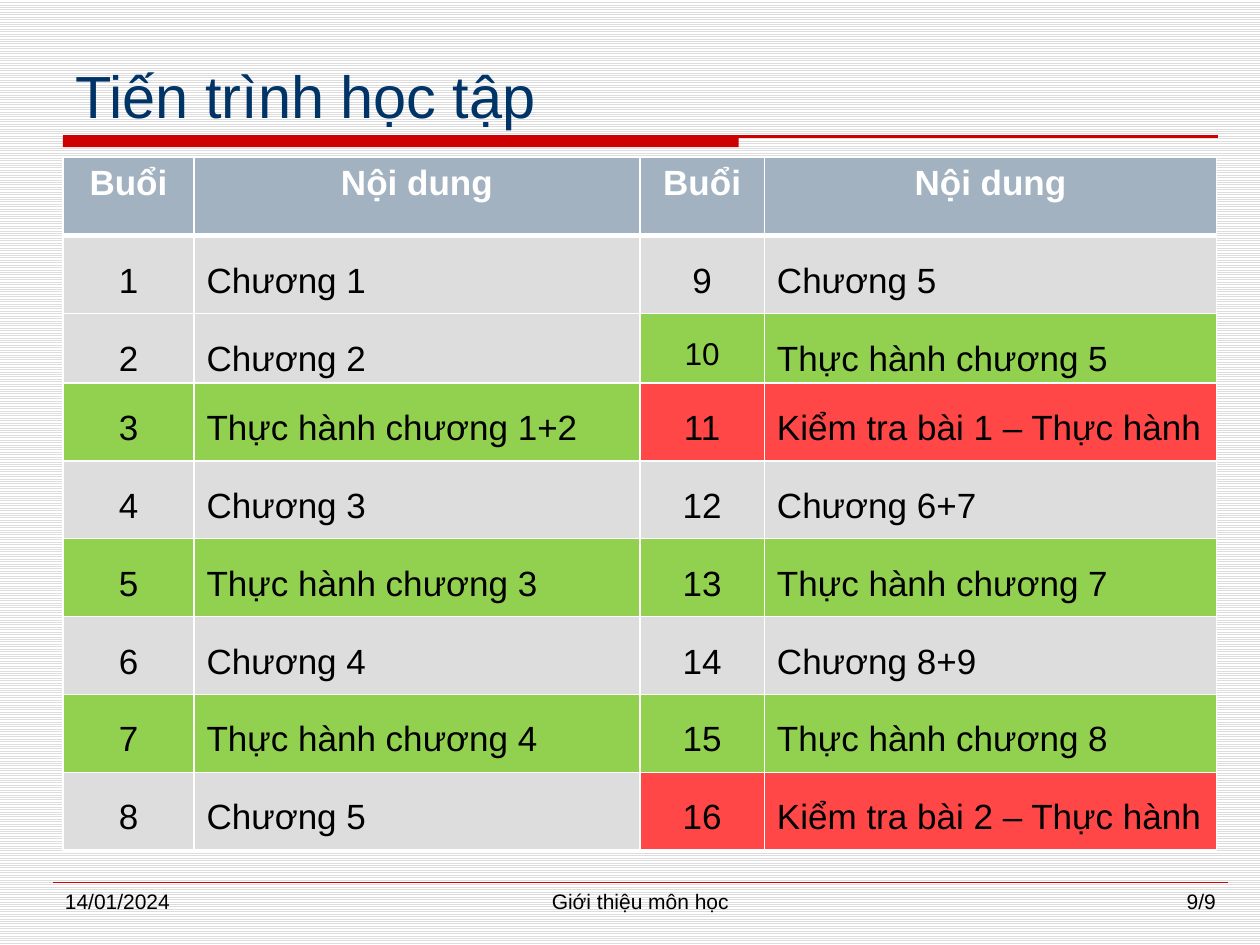
from typing import NamedTuple

from lxml.etree import SubElement
from pptx import Presentation
from pptx.dml.color import RGBColor
from pptx.enum.dml import MSO_PATTERN
from pptx.enum.shapes import MSO_CONNECTOR, MSO_SHAPE
from pptx.enum.text import MSO_ANCHOR, PP_ALIGN
from pptx.oxml import parse_xml
from pptx.oxml.ns import nsdecls, qn
from pptx.util import Cm, Pt

FONT = "Arial"
WHITE, BLACK, NAVY, RED = "FFFFFF", "000000", "003366", "CC0000"
HEADER, THEORY, PRACTICE, EXAM = "A3B2C1", "DDDDDD", "92D050", "FF4747"


class Session(NamedTuple):
    topic: str
    fill: str = THEORY
    number_size: int = 20


class FooterPart(NamedTuple):
    text: str
    left: float
    width: float
    align: PP_ALIGN


SESSIONS = [
    Session("Chương 1"),
    Session("Chương 2"),
    Session("Thực hành chương 1+2", PRACTICE),
    Session("Chương 3"),
    Session("Thực hành chương 3", PRACTICE),
    Session("Chương 4"),
    Session("Thực hành chương 4", PRACTICE),
    Session("Chương 5"),
    Session("Chương 5"),
    Session("Thực hành chương 5", PRACTICE, 18),
    Session("Kiểm tra bài 1 – Thực hành", EXAM),
    Session("Chương 6+7"),
    Session("Thực hành chương 7", PRACTICE),
    Session("Chương 8+9"),
    Session("Thực hành chương 8", PRACTICE),
    Session("Kiểm tra bài 2 – Thực hành", EXAM),
]
FOOTER = [
    FooterPart("14/01/2024", 1.06, 5.5, PP_ALIGN.LEFT),
    FooterPart("Giới thiệu môn học", 7.41, 11, PP_ALIGN.CENTER),
    FooterPart("9/9", 19.26, 5.5, PP_ALIGN.RIGHT),
]
COLUMN_WIDTHS = [2.64, 8.99, 2.51, 9.12]
ROW_HEIGHT, SHORT_ROW_HEIGHT = 1.57, 1.4
SHORT_ROW = 2
ROWS_PER_HALF = len(SESSIONS) // 2


def rgb(color: str) -> RGBColor:
    return RGBColor.from_string(color)


def write(frame, text: str, size: float, color: str, align: PP_ALIGN,
          bold: bool = False, spacing: float = 1.0) -> None:
    frame.text = text
    paragraph = frame.paragraphs[0]
    paragraph.alignment = align
    paragraph.line_spacing = spacing
    font = paragraph.runs[0].font
    font.name, font.size, font.bold = FONT, Pt(size), bold
    font.color.rgb = rgb(color)


def add_rule(slide, left: float, right: float, y: float, weight: float) -> None:
    rule = slide.shapes.add_connector(
        MSO_CONNECTOR.STRAIGHT, Cm(left), Cm(y), Cm(right), Cm(y))
    rule.line.color.rgb = rgb(RED)
    rule.line.width = Pt(weight)
    SubElement(rule._element.spPr, qn("a:effectLst"))


def set_borders(cell, top: float, bottom: float) -> None:
    properties = cell._tc.get_or_add_tcPr()
    weights = {"lnL": 1, "lnR": 1, "lnT": top, "lnB": bottom}
    for index, (side, weight) in enumerate(weights.items()):
        properties.insert(index, parse_xml(
            f'<a:{side} {nsdecls("a")} w="{Pt(weight)}"><a:solidFill>'
            f'<a:srgbClr val="{WHITE}"/></a:solidFill></a:{side}>'))


def fill_cell(cell, fill: str, top: float = 1, bottom: float = 1) -> None:
    cell.fill.solid()
    cell.fill.fore_color.rgb = rgb(fill)
    cell.margin_bottom = Cm(0)
    set_borders(cell, top, bottom)


def add_schedule(slide) -> None:
    heights = [SHORT_ROW_HEIGHT if row == SHORT_ROW else ROW_HEIGHT
               for row in range(ROWS_PER_HALF + 1)]
    schedule = slide.shapes.add_table(
        len(heights), len(COLUMN_WIDTHS), Cm(1.27), Cm(3.18),
        Cm(sum(COLUMN_WIDTHS)), Cm(sum(heights))).table
    for column, width in zip(schedule.columns, COLUMN_WIDTHS):
        column.width = Cm(width)
    for row, height in zip(schedule.rows, heights):
        row.height = Cm(height)

    # Header row
    for column, heading in enumerate(["Buổi", "Nội dung"] * 2):
        cell = schedule.cell(0, column)
        fill_cell(cell, HEADER, bottom=3)
        write(cell.text_frame, heading, 20, WHITE, PP_ALIGN.CENTER, bold=True)

    # Sessions run down the left half, then the right half
    for index, session in enumerate(SESSIONS):
        half, row = divmod(index, ROWS_PER_HALF)
        number = schedule.cell(row + 1, half * 2)
        topic = schedule.cell(row + 1, half * 2 + 1)
        for cell in (number, topic):
            fill_cell(cell, session.fill, top=3 if row == 0 else 1)
        write(number.text_frame, str(index + 1), session.number_size, BLACK,
              PP_ALIGN.CENTER, spacing=1.5)
        write(topic.text_frame, session.topic, 20, BLACK, PP_ALIGN.LEFT,
              spacing=1.5)


def add_footer_part(slide, part: FooterPart) -> None:
    box = slide.shapes.add_textbox(
        Cm(part.left), Cm(17.78), Cm(part.width), Cm(0.89))
    box.text_frame.word_wrap = True
    write(box.text_frame, part.text, 12, BLACK, part.align)


def main() -> None:
    presentation = Presentation()
    presentation.slide_width, presentation.slide_height = Cm(25.4), Cm(19.05)
    slide = presentation.slides.add_slide(presentation.slide_layouts[5])

    # Striped background
    stripes = slide.background.fill
    stripes.patterned()
    stripes.pattern = MSO_PATTERN.LIGHT_HORIZONTAL
    stripes.fore_color.rgb = rgb(THEORY)
    stripes.back_color.rgb = rgb(WHITE)

    # Title with its red underline
    title = slide.shapes.title
    title.left, title.top = Cm(1.27), Cm(0.84)
    title.width, title.height = Cm(23.29), Cm(1.91)
    title.text_frame.vertical_anchor = MSO_ANCHOR.BOTTOM
    write(title.text_frame, "Tiến trình học tập", 34, NAVY, PP_ALIGN.LEFT)
    bar = slide.shapes.add_shape(
        MSO_SHAPE.RECTANGLE, Cm(1.27), Cm(2.75), Cm(13.62), Cm(0.22))
    bar.shadow.inherit = False
    bar.fill.solid()
    bar.fill.fore_color.rgb = rgb(RED)
    bar.line.fill.background()
    add_rule(slide, 1.27, 24.56, 2.75, 1.5)

    add_schedule(slide)

    # Footer
    add_rule(slide, 1.06, 24.76, 17.78, 0.25)
    for part in FOOTER:
        add_footer_part(slide, part)

    presentation.save("out.pptx")


if __name__ == "__main__":
    main()
